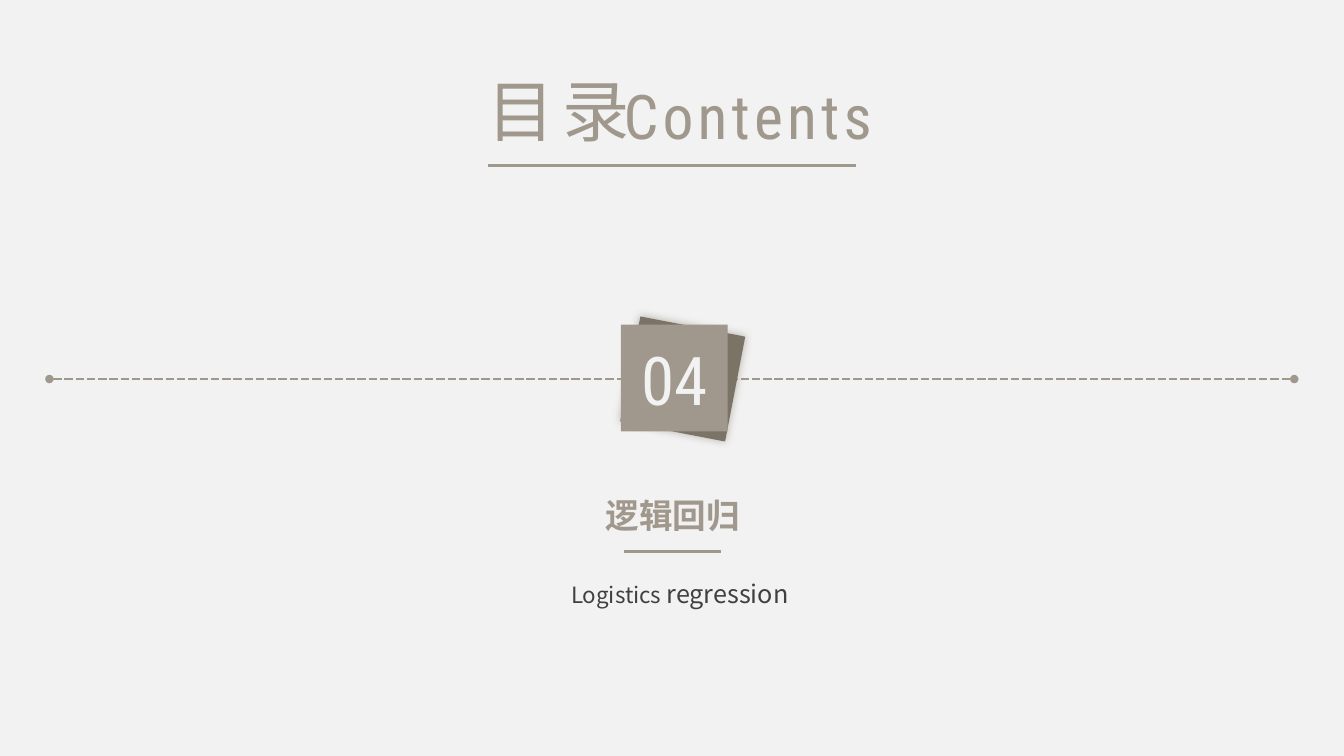
from lxml import etree
from pptx import Presentation
from pptx.dml.color import RGBColor
from pptx.enum import dml, shapes, text
from pptx.oxml import ns
from pptx.util import Pt

COLORS = {"paper": "F2F2F2", "taupe": "A0988C", "shade": "7B7366", "ink": "404040"}
CJK = "Noto Sans CJK SC"
LATIN = "Roboto Condensed"


def rgb(name):
    return RGBColor.from_string(COLORS[name])


def add_xml(parent, tag, **attributes):
    return etree.SubElement(parent, ns.qn(tag), attributes)


def add_text(slide, box, runs, color, font=CJK, bold=False, tracking=0,
             line_spacing=None, space_after=None):
    """Centred one-paragraph text; runs are (wording, size) pairs."""
    frame = slide.shapes.add_textbox(*map(Pt, box)).text_frame
    frame.word_wrap = True
    frame.auto_size = text.MSO_AUTO_SIZE.SHAPE_TO_FIT_TEXT
    paragraph = frame.paragraphs[0]
    paragraph.alignment = text.PP_ALIGN.CENTER
    paragraph.line_spacing = line_spacing
    paragraph.space_after = space_after
    for wording, size in runs:
        run = paragraph.add_run()
        run.text = wording
        run.font.size = Pt(size)
        run.font.bold = bold
        run.font.color.rgb = rgb(color)
        run.font.name = font
        properties = run.font._element
        add_xml(properties, "a:ea", typeface=font)
        if tracking:
            properties.set("spc", str(tracking * 100))


def add_rule(slide, left, top, width, weight, dotted_ends=False):
    rule = slide.shapes.add_connector(
        shapes.MSO_CONNECTOR.STRAIGHT, Pt(left), Pt(top), Pt(left + width), Pt(top))
    rule.line.color.rgb = rgb("taupe")
    rule.line.width = Pt(weight)
    if dotted_ends:
        rule.line.dash_style = dml.MSO_LINE.SQUARE_DOT
        line = rule.line._get_or_add_ln()
        for end in ("a:headEnd", "a:tailEnd"):
            add_xml(line, end, type="oval")
    add_xml(rule._element.spPr, "a:effectLst")


def add_card(slide, left, top, side, color, rotation=0):
    card = slide.shapes.add_shape(
        shapes.MSO_SHAPE.RECTANGLE, Pt(left), Pt(top), Pt(side), Pt(side))
    card.rotation = rotation
    card.fill.solid()
    card.fill.fore_color.rgb = rgb(color)
    card.line.fill.background()
    card.shadow.inherit = False
    return card


def add_glow(card):
    effects = card._element.spPr.find(ns.qn("a:effectLst"))
    shadow = add_xml(effects, "a:outerShdw", blurRad=str(Pt(6)), dist="0", dir="0",
                     algn="ctr", rotWithShape="0")
    tint = add_xml(shadow, "a:srgbClr", val=COLORS["taupe"])
    add_xml(tint, "a:alpha", val="70000")


def draw_heading(slide, left, top, width, height):
    add_text(slide, (left + 70.5, top + 5.8, 230.4, 60.5), [("Contents", 44)],
             "taupe", font=LATIN, tracking=3)
    add_text(slide, (left - 18, top, 136.8, 65.5), [("目录", 48)], "taupe", tracking=6)
    add_rule(slide, left, top + height, width, 2.5)


def draw_number_band(slide, left, top, width, height):
    side = 76.3
    card_left = left + (width - side) / 2 + 2
    add_rule(slide, left, top + height / 2, width, 2, dotted_ends=True)
    add_glow(add_card(slide, card_left + 5.8, top + 0.7, side, "shade", rotation=10.9))
    add_card(slide, card_left - 0.2, top, side, "taupe")
    add_text(slide, (card_left + 7, top + 6.3, 62.6, 65.5), [("04", 48)],
             "paper", font=LATIN)


def draw_chapter(slide, left, top, width, height):
    add_text(slide, (left, top, width, 37.4), [("逻辑回归", 24)], "taupe",
             bold=True, line_spacing=1.2)
    add_text(slide, (left - 2.2, top + 61.2, width + 14.4, height - 61.2),
             [("Logistics ", 16), ("regression", 18)], "ink",
             line_spacing=1.2, space_after=Pt(3))
    rule_width = 69.1
    add_rule(slide, left + (width - rule_width) / 2, top + 49.7, rule_width, 2)


def main():
    deck = Presentation()
    deck.slide_width, deck.slide_height = Pt(960), Pt(540)
    slide = deck.slides.add_slide(deck.slide_layouts[6])
    slide.background.fill.solid()
    slide.background.fill.fore_color.rgb = rgb("paper")

    draw_heading(slide, 348.5, 46.1, 262.8, 72)
    draw_number_band(slide, 35.3, 231.9, 889.2, 77.7)
    draw_chapter(slide, 391.7, 344.2, 177.8, 94.3)
    deck.save("out.pptx")


if __name__ == "__main__":
    main()
